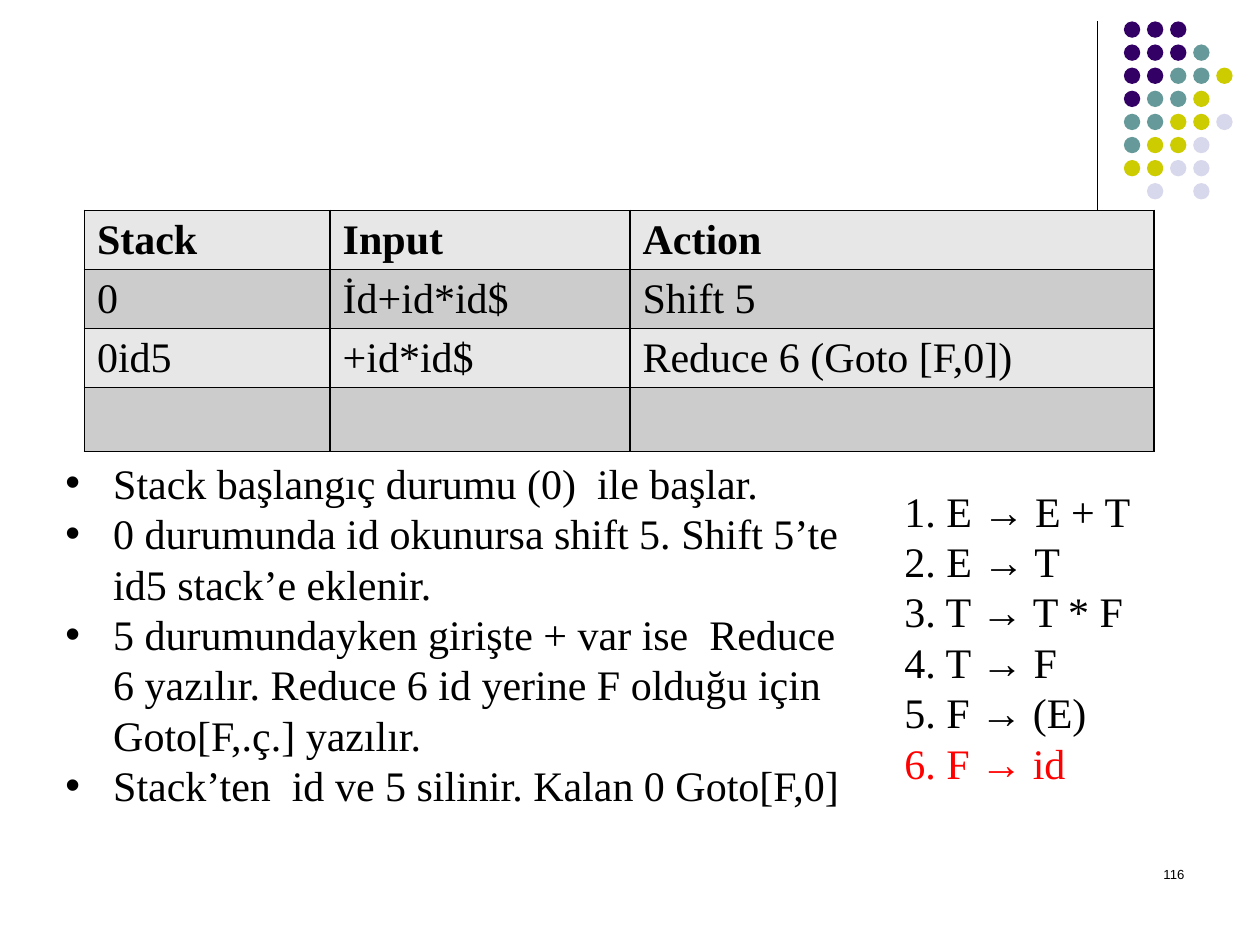
from dataclasses import dataclass

from lxml.etree import SubElement
from pptx import Presentation
from pptx.dml.color import RGBColor as Color
from pptx.enum.shapes import MSO_CONNECTOR as Connector, MSO_SHAPE as Shape
from pptx.enum.text import MSO_AUTO_SIZE as AutoSize, PP_ALIGN as Align
from pptx.oxml.ns import qn
from pptx.util import Inches, Pt


@dataclass(frozen=True)
class Theme:
    body_font: str = "Times New Roman"
    number_font: str = "Arial"
    body_size: float = 24
    number_size: float = 7.5
    line_pitch: float = 28.8
    black: str = "000000"
    red: str = "FF0000"
    purple: str = "330066"
    teal: str = "669999"
    yellow: str = "CCCC00"
    lavender: str = "D8D8EC"
    light_row: str = "E7E7E7"
    dark_row: str = "CCCCCC"


THEME = Theme()

DOT_ROWS = ["PPP", "PPPT", "PPTTY", "PTTY", "TTYYL", "TYYL", "YYLL", " L L"]
DOT_COLORS = {"P": THEME.purple, "T": THEME.teal, "Y": THEME.yellow, "L": THEME.lavender}

PARSE_ROWS = [
    ("Stack", "Input", "Action"),
    ("0", "İd+id*id$", "Shift 5"),
    ("0id5", "+id*id$", "Reduce 6 (Goto [F,0])"),
    ("", "", ""),
]

GRAMMAR = ["1. E → E + T", "2. E → T", "3. T → T * F\v4. T → F", "5. F → (E)", "6. F → id"]

NOTES = [
    "Stack başlangıç durumu (0)  ile başlar.",
    "0 durumunda id okunursa shift 5. Shift 5’te id5 stack’e eklenir.",
    "5 durumundayken girişte + var ise  Reduce 6 yazılır. "
    "Reduce 6 id yerine F olduğu için Goto[F,.ç.] yazılır.",
    "Stack’ten  id ve 5 silinir. Kalan 0 Goto[F,0]",
]


def write(paragraph, text, *, font=THEME.body_font, size=THEME.body_size, color=THEME.black,
          bold=False, align=None, pitch=None, bullet=False):
    if bullet:
        properties = paragraph._p.get_or_add_pPr()
        indent = Inches(0.38)
        properties.set("marL", str(indent))
        properties.set("indent", str(-indent))
        SubElement(properties, qn("a:buFont"), typeface="Arial")
        SubElement(properties, qn("a:buChar"), char="•")
    if align is not None:
        paragraph.alignment = align
    if pitch:
        paragraph.line_spacing = Pt(pitch)
    paragraph.text = text
    for run in paragraph.runs:
        run.font.name = font
        run.font.size = Pt(size)
        run.font.bold = bold
        run.font.color.rgb = Color.from_string(color)
    if not text:
        SubElement(paragraph._p, qn("a:endParaRPr"), sz=str(int(size * 100)))


class SlideBuilder:
    def __init__(self, slide, theme):
        self.slide = slide
        self.theme = theme

    def line(self, x1, y1, x2, y2):
        connector = self.slide.shapes.add_connector(
            Connector.STRAIGHT, Inches(x1), Inches(y1), Inches(x2), Inches(y2))
        connector.line.color.rgb = Color.from_string(self.theme.black)
        connector.line.width = Pt(0.75)
        SubElement(connector._element.spPr, qn("a:effectLst"))

    def dots(self, left, top, rows):
        group = self.slide.shapes.add_group_shape()
        pitch = Inches(0.55) // 3
        diameter = Inches(0.13)
        for row, codes in enumerate(rows):
            for column, code in enumerate(codes):
                if code not in DOT_COLORS:
                    continue
                dot = group.shapes.add_shape(
                    Shape.OVAL, Inches(left) + column * pitch, Inches(top) + row * pitch,
                    diameter, diameter)
                dot.shadow.inherit = False
                dot.fill.solid()
                dot.fill.fore_color.rgb = Color.from_string(DOT_COLORS[code])
                dot.line.fill.background()

    def text(self, left, top, width, height, lines, *, grow=True, last_color=None, **style):
        box = self.slide.shapes.add_textbox(
            Inches(left), Inches(top), Inches(width), Inches(height))
        frame = box.text_frame
        frame.word_wrap = True
        frame.auto_size = AutoSize.SHAPE_TO_FIT_TEXT if grow else AutoSize.NONE
        for index, line in enumerate(lines):
            paragraph = frame.add_paragraph() if index else frame.paragraphs[0]
            is_last = index == len(lines) - 1
            color = last_color if last_color and is_last else self.theme.black
            write(paragraph, line, color=color, **style)

    def border(self, cell):
        properties = cell._tc.get_or_add_tcPr()
        for position, side in enumerate(("a:lnL", "a:lnR", "a:lnT", "a:lnB")):
            edge = properties.makeelement(qn(side), {"w": str(Pt(1))})
            fill = SubElement(edge, qn("a:solidFill"))
            SubElement(fill, qn("a:srgbClr"), val=self.theme.black)
            properties.insert(position, edge)

    def table(self, left, top, widths, row_height, rows):
        table = self.slide.shapes.add_table(
            len(rows), len(widths), Inches(left), Inches(top),
            Inches(sum(widths)), Inches(row_height * len(rows))).table
        table.first_row = False
        table.horz_banding = False
        for column, width in zip(table.columns, widths):
            column.width = Inches(width)
        for index, values in enumerate(rows):
            table.rows[index].height = Inches(row_height)
            fill = self.theme.dark_row if index % 2 else self.theme.light_row
            for cell, value in zip(table.rows[index].cells, values):
                cell.fill.solid()
                cell.fill.fore_color.rgb = Color.from_string(fill)
                self.border(cell)
                write(cell.text_frame.paragraphs[0], value, bold=index == 0)


def main():
    presentation = Presentation()
    presentation.slide_width = Inches(10)
    presentation.slide_height = Inches(7.5)
    slide = presentation.slides.add_slide(presentation.slide_layouts[6])
    builder = SlideBuilder(slide, THEME)

    builder.line(8.71, 0.17, 8.71, 1.83)
    builder.dots(8.92, 0.17, DOT_ROWS)
    builder.text(7.17, 6.83, 2.33, 0.5, ["116"], grow=False, font=THEME.number_font,
                 size=THEME.number_size, align=Align.RIGHT)
    builder.table(0.67, 1.67, [1.95, 2.38, 4.16], 0.41, PARSE_ROWS)
    builder.text(7.08, 3.8, 2.08, 2.52, GRAMMAR, last_color=THEME.red, pitch=THEME.line_pitch)
    builder.text(0.42, 3.58, 6.42, 3.33, NOTES, pitch=THEME.line_pitch, bullet=True)

    presentation.save("out.pptx")


if __name__ == "__main__":
    main()
